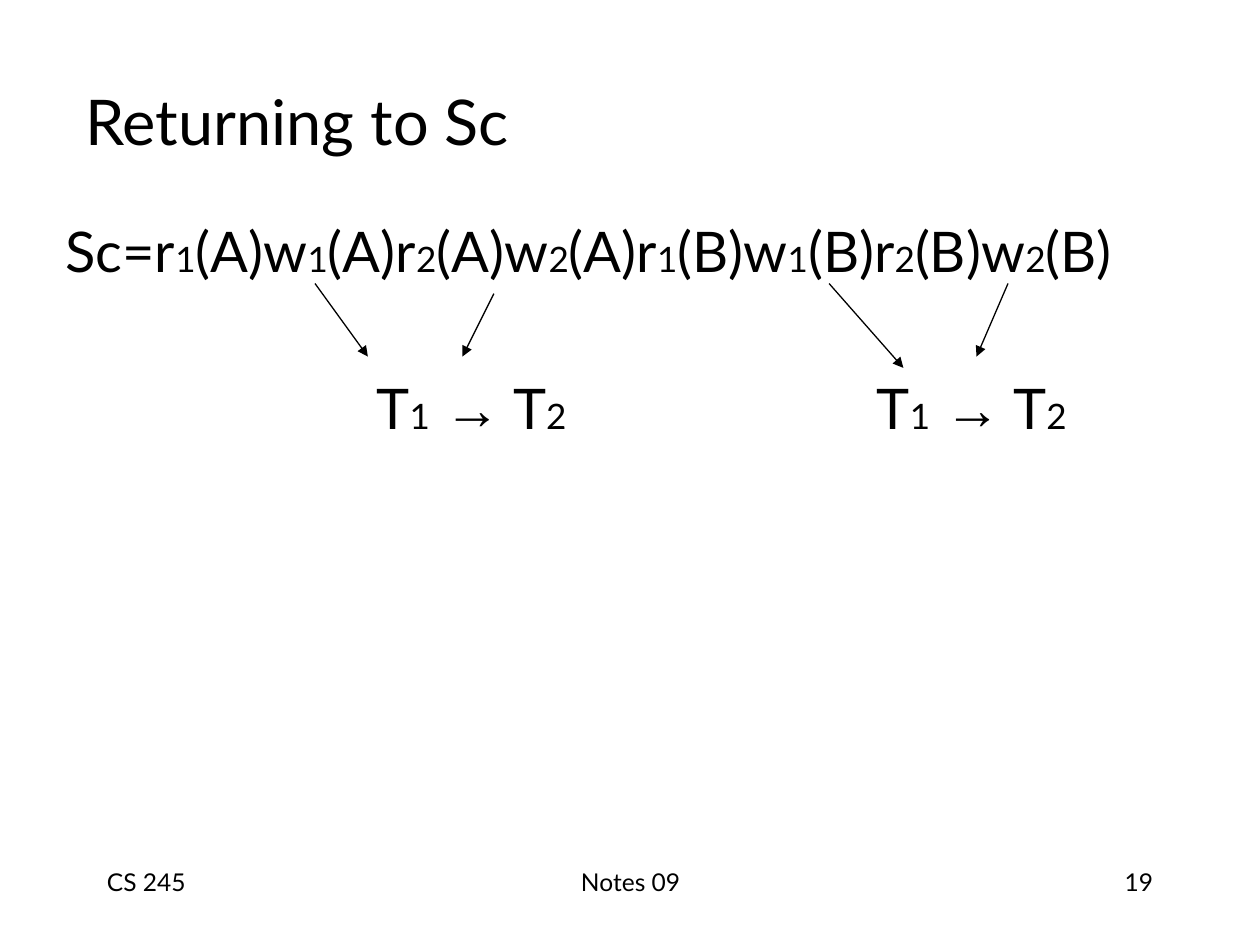
from dataclasses import dataclass
from itertools import groupby

from lxml.etree import SubElement as Sub
from pptx import Presentation as Deck
from pptx.dml.color import RGBColor as Rgb
from pptx.enum.shapes import MSO_CONNECTOR as Link
from pptx.enum.text import MSO_ANCHOR as Anchor, PP_ALIGN as Align
from pptx.oxml.ns import qn
from pptx.util import Inches, Pt


@dataclass(frozen=True)
class Theme:
    ink: Rgb = Rgb(0, 0, 0)
    face: str = "Lato"
    sign: str = "Arial"
    title: int = 36
    body: int = 32
    sub: int = 20
    foot: int = 14
    line: float = 0.75


def write(para, text, theme, size, sub=None, align=Align.LEFT, gap=0, tabs=()):
    para.alignment = align
    para.space_before = Pt(gap)
    if tabs:
        stops = Sub(para._p.get_or_add_pPr(), qn("a:tabLst"))
        for stop in tabs:
            Sub(stops, qn("a:tab"), pos=str(Inches(stop)), algn="l")
    for (low, sign), part in groupby(text, lambda c: (bool(sub) and c.isdigit(), c == "→")):
        run = para.add_run()
        run.text = "".join(part)
        run.font.size = Pt(sub if low else size)
        run.font.name = theme.sign if sign else theme.face
        run.font.color.rgb = theme.ink


class Page:
    """Draws styled elements on one slide."""

    def __init__(self, slide, theme):
        self.slide, self.theme = slide, theme

    def text(self, box, lines, size, anchor=Anchor.TOP, **style):
        frame = self.slide.shapes.add_textbox(*map(Inches, box)).text_frame
        frame.word_wrap = True
        frame.vertical_anchor = anchor
        for i, (line, extra) in enumerate(lines):
            para = frame.add_paragraph() if i else frame.paragraphs[0]
            write(para, line, self.theme, size, **style, **extra)

    def arrow(self, start, end):
        link = self.slide.shapes.add_connector(Link.STRAIGHT, *map(Inches, start + end))
        link.line.color.rgb = self.theme.ink
        link.line.width = Pt(self.theme.line)
        Sub(link.line._get_or_add_ln(), qn("a:tailEnd"), type="triangle")
        Sub(link._element.spPr, qn("a:effectLst"))


def main():
    deck = Deck()
    deck.slide_width, deck.slide_height = Inches(10), Inches(7.5)
    theme = Theme()
    page = Page(deck.slides.add_slide(deck.slide_layouts[6]), theme)

    for left, width, word, align in (
        (0.75, 2.08, "CS 245", Align.LEFT),
        (3.42, 3.17, "Notes 09", Align.CENTER),
        (7.17, 2.08, "19", Align.RIGHT),
    ):
        page.text((left, 6.83, width, 0.5), [(word, {})], theme.foot, align=align)

    page.text((0.58, 0.33, 8.5, 1.25), [("Returning to Sc", {})], theme.title, Anchor.MIDDLE)

    order = "T1 → T2"
    page.text(
        (0.42, 1.67, 9.25, 2.17),
        [
            ("Sc=r1(A)w1(A)r2(A)w2(A)r1(B)w1(B)r2(B)w2(B)", {}),
            (f"\t{order}\t{order}", {"gap": 51.4, "tabs": (2.47, 6.44)}),
        ],
        theme.body,
        sub=theme.sub,
    )

    for start, end in (
        ((2.5, 2.25), (2.92, 2.83)),
        ((3.92, 2.33), (3.67, 2.83)),
        ((6.58, 2.25), (7.17, 2.92)),
        ((8, 2.25), (7.75, 2.83)),
    ):
        page.arrow(start, end)

    deck.save("out.pptx")


if __name__ == "__main__":
    main()
